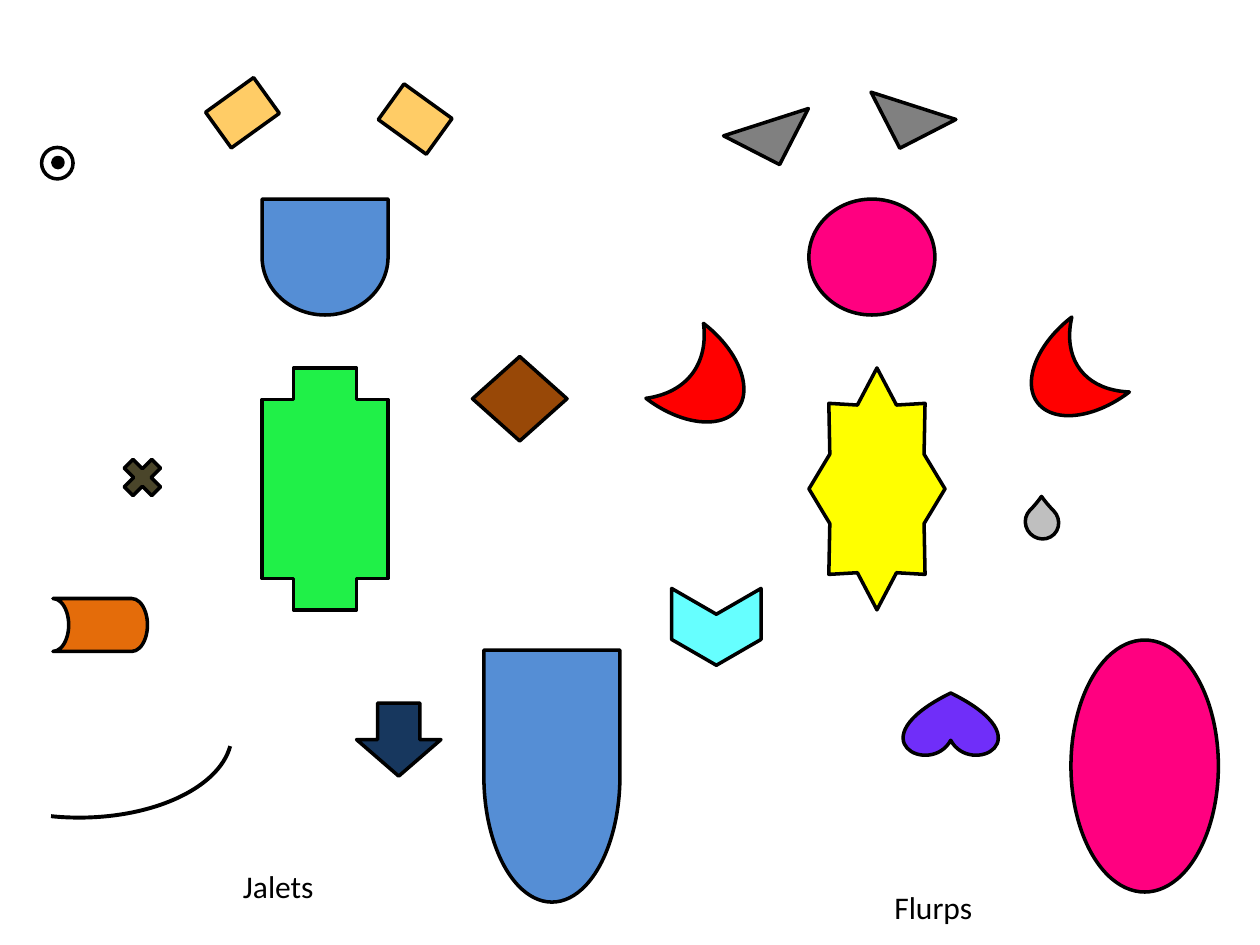
"""Build a slide with the loose parts of two creatures, Jalets and Flurps."""
from dataclasses import dataclass
from typing import Optional

from pptx import Presentation
from pptx.dml.color import RGBColor
from pptx.enum.shapes import MSO_SHAPE
from pptx.enum.text import MSO_AUTO_SIZE
from pptx.util import Inches, Pt

ARC = MSO_SHAPE.ARC
CHEVRON = MSO_SHAPE.CHEVRON
CROSS = MSO_SHAPE.CROSS
DELAY = MSO_SHAPE.FLOWCHART_DELAY
DIAMOND = MSO_SHAPE.DIAMOND
DOWN_ARROW = MSO_SHAPE.DOWN_ARROW
HEART = MSO_SHAPE.HEART
MOON = MSO_SHAPE.MOON
MULTIPLY = MSO_SHAPE.MATH_MULTIPLY
OVAL = MSO_SHAPE.OVAL
RECTANGLE = MSO_SHAPE.RECTANGLE
STAR = MSO_SHAPE.STAR_8_POINT
STORED_DATA = MSO_SHAPE.FLOWCHART_STORED_DATA
TEAR = MSO_SHAPE.TEAR
TRIANGLE = MSO_SHAPE.RIGHT_TRIANGLE
FIT_SHAPE = MSO_AUTO_SIZE.SHAPE_TO_FIT_TEXT

BLACK, WHITE = "000000", "FFFFFF"
BLUE, PINK, RED = "558ED5", "FF0080", "FF0000"
SAND, GRAY = "FFCC66", "808080"
LABEL_FONT = {"name": "Calibri", "size": Pt(18)}
LABEL_FRAME = {"word_wrap": False, "auto_size": FIT_SHAPE}


@dataclass(frozen=True)
class Part:
    """One outlined body part; lengths are inches, rotation is degrees."""
    kind: MSO_SHAPE
    left: float
    top: float
    width: float
    height: float
    fill: Optional[str]
    rotation: float = 0
    flip: str = ""
    adjustments: tuple = ()
    line_width: float = 2


@dataclass(frozen=True)
class Label:
    """A creature's name and the box it stands in."""
    text: str
    left: float
    top: float
    width: float
    height: float = 0.4


JALET_PARTS = (
    Part(CROSS, 2.08, 2.92, 1, 1.92, "20F048"),
    Part(DOWN_ARROW, 2.83, 5.58, 0.67, 0.58, "17375E"),
    Part(DIAMOND, 3.75, 2.83, 0.75, 0.67, "984807"),
    Part(DELAY, 2.12, 1.54, 0.92, 1, BLUE, 90),
    Part(DELAY, 3.38, 5.62, 2, 1.08, BLUE, 90),
    Part(RECTANGLE, 3.06, 0.77, 0.47, 0.35, SAND, 35.8),
    Part(RECTANGLE, 1.69, 0.72, 0.47, 0.35, SAND, 324.2, "flipH"),
    Part(STORED_DATA, 0.42, 4.75, 0.75, 0.42, "E46C0A", 180),
    Part(MULTIPLY, 0.92, 3.58, 0.42, 0.42, "4A452A"),
    Part(ARC, -0.58, 5.16, 2.42, 1.33, None, 0, "flipV",
         (150.609, 213.202), 2.25),
)
EYE_PARTS = (
    Part(OVAL, 0.33, 1.17, 0.25, 0.25, WHITE),
    Part(OVAL, 0.42, 1.25, 0.08, 0.08, BLACK),
)
FLURP_PARTS = (
    Part(OVAL, 6.42, 1.58, 1, 0.92, PINK),
    Part(OVAL, 8.5, 5.08, 1.17, 2, PINK),
    Part(STAR, 6.42, 2.92, 1.08, 1.92, "FFFF00"),
    Part(MOON, 8.17, 2.63, 0.63, 0.75, RED, 322.5, "", (0.68,)),
    Part(MOON, 5.29, 2.68, 0.63, 0.75, RED, 37.5, "flipH", (0.726,)),
    Part(HEART, 7.17, 5.5, 0.75, 0.5, "702EF9", 180),
    Part(CHEVRON, 5.38, 4.62, 0.61, 0.71, "66FFFF", 90, "", (0.336,)),
    Part(TEAR, 8.14, 4.01, 0.26, 0.27, "BFBFBF", 315, "", (1.094,)),
    Part(TRIANGLE, 7, 0.59, 0.5, 0.5, GRAY, 332.8),
    Part(TRIANGLE, 5.83, 0.72, 0.5, 0.5, GRAY, 27.2, "flipH"),
)
LABELS = (Label("Jalets", 1.83, 6.83, 0.77), Label("Flurps", 7, 7, 0.83))


def color(value: str) -> RGBColor:
    """Turn a hex string into a colour."""
    return RGBColor.from_string(value)


def set_attributes(target, values: dict) -> None:
    """Set every attribute named in values on target."""
    for name, value in values.items():
        setattr(target, name, value)


def box(item) -> tuple:
    """Return left, top, width and height of a part or label as lengths."""
    return tuple(map(Inches, (item.left, item.top, item.width, item.height)))


def draw_part(shapes, part: Part) -> None:
    """Draw one part into a slide's or a group's shapes."""
    shape = shapes.add_shape(part.kind, *box(part))
    shape.rotation = part.rotation
    shape.shadow.inherit = False
    for index, value in enumerate(part.adjustments):
        shape.adjustments[index] = value
    if part.flip:
        shape._element.spPr.xfrm.set(part.flip, "1")
    if part.fill:
        shape.fill.solid()
        shape.fill.fore_color.rgb = color(part.fill)
    else:
        shape.fill.background()
    shape.line.color.rgb = color(BLACK)
    shape.line.width = Pt(part.line_width)


def draw_label(shapes, label: Label) -> None:
    """Write one creature's name."""
    frame = shapes.add_textbox(*box(label)).text_frame
    set_attributes(frame, LABEL_FRAME)
    run = frame.paragraphs[0].add_run()
    run.text = label.text
    set_attributes(run.font, LABEL_FONT)
    run.font.color.rgb = color(BLACK)


def main() -> None:
    """Build and save the presentation."""
    presentation = Presentation()
    set_attributes(presentation, {"slide_width": Inches(10),
                                  "slide_height": Inches(7.5)})
    slide = presentation.slides.add_slide(presentation.slide_layouts[6])
    for part in JALET_PARTS + FLURP_PARTS:
        draw_part(slide.shapes, part)
    eye = slide.shapes.add_group_shape()
    for part in EYE_PARTS:
        draw_part(eye.shapes, part)
    for label in LABELS:
        draw_label(slide.shapes, label)
    presentation.save("out.pptx")


main()
